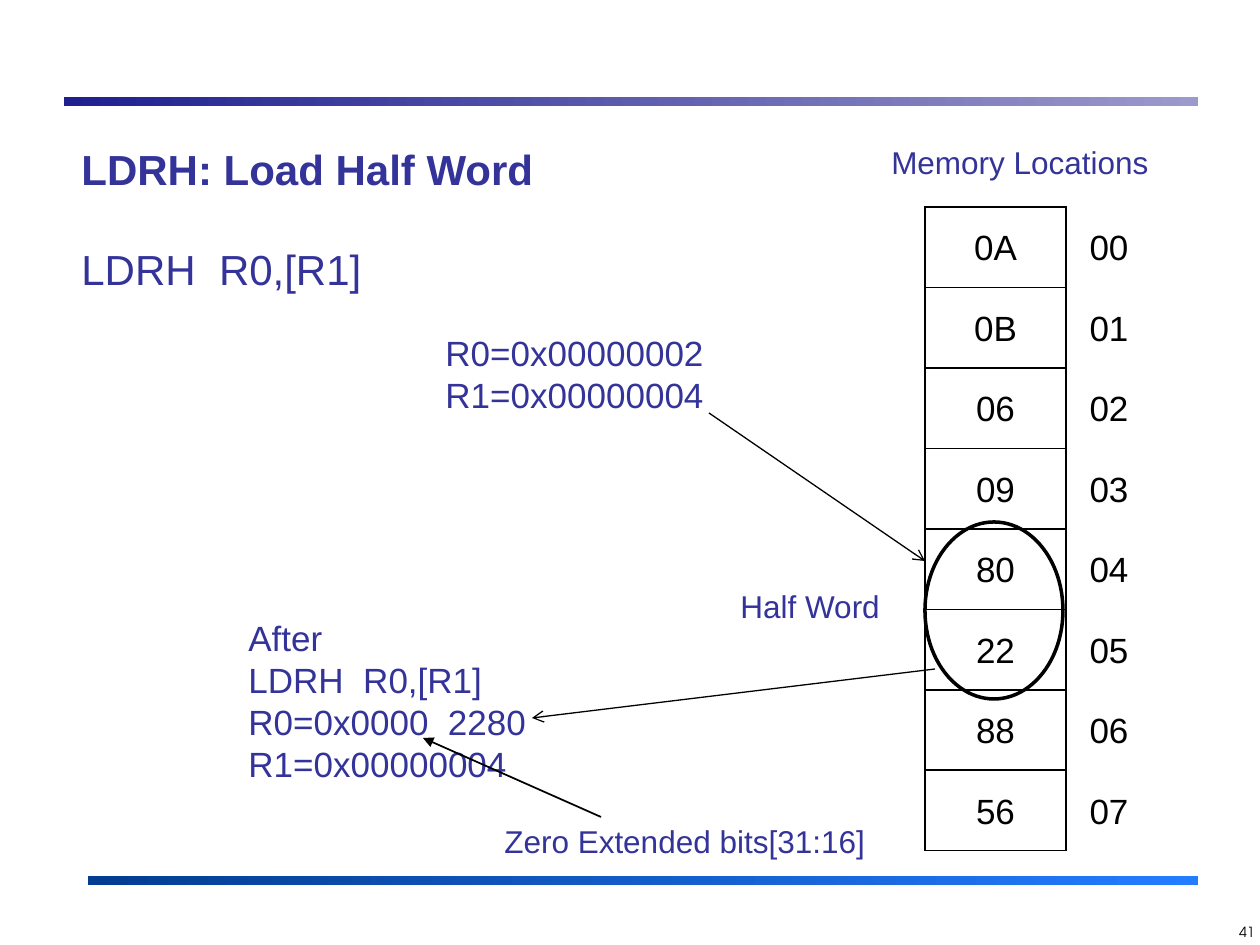
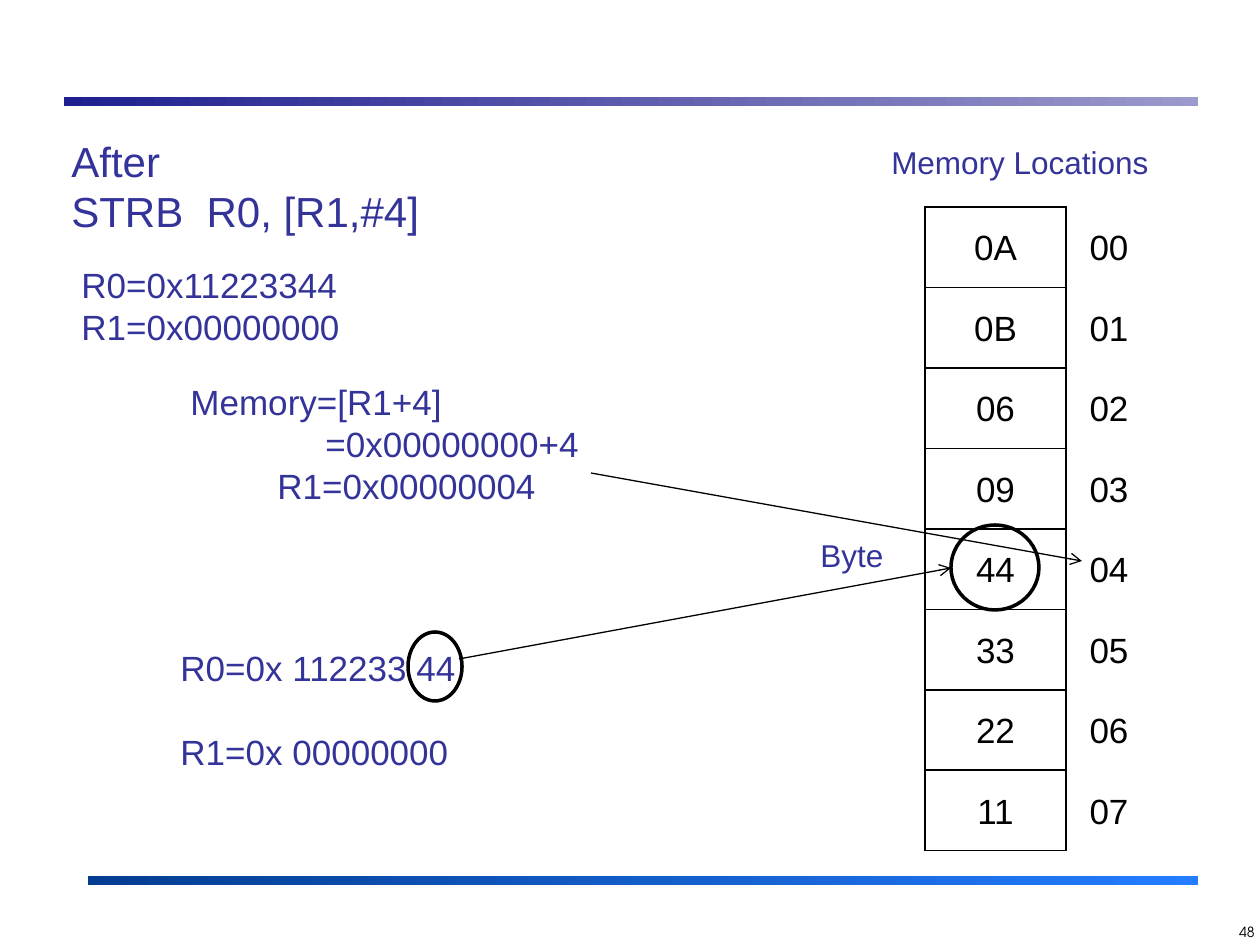
from lxml import etree
from pptx import Presentation
from pptx import util as u
from pptx.dml.color import RGBColor
from pptx.enum import shapes, text
from pptx.oxml.ns import qn

FONT, NUMBER_FONT = "Arial", "TeX Gyre Adventor"
NAVY, BLACK = "333399", "000000"
LINE_HEIGHT = 1.2

# Shared bands: left, top, width, height, first and last colour
BANDS = [
    (64, 97, 1134, 9, "1F1F8F", "9C99CC"),
    (88, 876, 1110, 9, "033D91", "247CFF"),
]
MEMORY_LABEL = (738, 137, 423, 50)
NUMBER_BOX = (1212, 917, 55, 39)
MEMORY_AT, MEMORY_COLS, MEMORY_HEIGHT = (925, 207), (141, 86), 644

# Texts: box, size, lines; a line is a string or a dict of its options.
# Ovals: box. Arrows: from, to, width, then the head at the end reached.
SLIDES = [
    {
        "number": "41",
        "memory": ["0A", "0B", "06", "09", "80", "22", "88", "56"],
        "ovals": [(925, 522, 138, 177)],
        "texts": [
            ((69, 137, 601, 165), 24, [
                {"text": "LDRH: Load Half Word", "bold": True},
                {"text": "LDRH  R0,[R1]", "skip": 1}]),
            ((433, 325, 286, 97), 20, ["R0=0x00000002", "R1=0x00000004"]),
            ((236, 610, 344, 183), 20, [
                "After", "LDRH  R0,[R1]", "R0=0x0000  2280",
                "R1=0x00000004"]),
            ((728, 581, 178, 50), 18, ["Half Word"]),
            ((492, 816, 444, 50), 18, ["Zero Extended bits[31:16]"]),
        ],
        "arrows": [
            ((709, 413), (925, 561), 0.75, "arrow"),
            ((935, 669), (532, 718), 0.75, "arrow"),
            ((601, 817), (423, 738), 1, "triangle"),
        ],
    },
    {
        "number": "48",
        "memory": ["0A", "0B", "06", "09", "44", "33", "22", "11"],
        "ovals": [(951, 525, 88, 85), (408, 632, 54, 69)],
        "texts": [
            ((59, 129, 837, 115), 24, ["After", "STRB  R0, [R1,#4]"]),
            ((69, 257, 286, 97), 20, ["R0=0x11223344", "R1=0x00000000"]),
            ((178, 374, 423, 140), 20, [
                "Memory=[R1+4]",
                {"text": "=0x00000000+4", "indent": 135},
                {"text": "R1=0x00000004", "indent": 87}]),
            ((168, 640, 571, 140), 20, [
                "R0=0x 112233 44",
                {"text": "R1=0x 00000000", "skip": 1}]),
            ((808, 530, 98, 50), 18, ["Byte"]),
        ],
        "arrows": [
            ((591, 473), (1082, 561), 0.75, "arrow"),
            ((459, 659), (951, 568), 0.75, "arrow"),
        ],
    },
]


def px(n):
    return u.Emu(round(n * 914400 / 126))


def box(values):
    return [px(v) for v in values]


def rgb(value):
    return RGBColor.from_string(value)


def write(p, words, size, color=NAVY, bold=False, font=FONT):
    p.line_spacing = u.Pt(size * LINE_HEIGHT)
    r = p.add_run()
    r.text = words
    r.font.name, r.font.size, r.font.bold = font, u.Pt(size), bold
    r.font.color.rgb = rgb(color)


def add_text(slide, at, size, lines, align=text.PP_ALIGN.LEFT, **style):
    tf = slide.shapes.add_textbox(*box(at)).text_frame
    tf.word_wrap = True
    for i, line in enumerate(lines):
        if isinstance(line, str):
            line = {"text": line}
        p = tf.add_paragraph() if i else tf.paragraphs[0]
        p.alignment = align
        if "indent" in line:
            p._p.get_or_add_pPr().set("marL", str(px(line["indent"])))
        if "skip" in line:
            p.space_before = u.Pt(line["skip"] * size * LINE_HEIGHT)
        write(p, line["text"], size, bold=line.get("bold", False), **style)


def add_band(slide, left, top, width, height, *colors):
    sp = slide.shapes.add_shape(
        shapes.MSO_SHAPE.RECTANGLE, *box((left, top, width, height)))
    sp.shadow.inherit = False
    sp.line.fill.background()
    sp.fill.gradient()
    sp.fill.gradient_angle = 0
    for stop, color in zip(sp.fill.gradient_stops, colors):
        stop.color.rgb = rgb(color)


def add_oval(slide, at):
    sp = slide.shapes.add_shape(shapes.MSO_SHAPE.OVAL, *box(at))
    sp.shadow.inherit = False
    sp.fill.background()
    sp.line.color.rgb = rgb(BLACK)
    sp.line.width = u.Pt(2)


def add_arrow(slide, start, end, width, head):
    c = slide.shapes.add_connector(
        shapes.MSO_CONNECTOR.STRAIGHT, *box(start + end))
    c.line.color.rgb = rgb(BLACK)
    c.line.width = u.Pt(width)
    etree.SubElement(c.line._get_or_add_ln(), qn("a:tailEnd"), type=head)
    etree.SubElement(c._element.spPr, qn("a:effectLst"))


def set_borders(cell, drawn):
    tc_pr = cell._tc.get_or_add_tcPr()
    for side in "LRTB":
        ln = etree.SubElement(tc_pr, qn("a:ln" + side), w=str(u.Pt(1)))
        if side in drawn:
            fill = etree.SubElement(ln, qn("a:solidFill"))
            etree.SubElement(fill, qn("a:srgbClr"), val=BLACK)
        else:
            etree.SubElement(ln, qn("a:noFill"))


def add_memory(slide, values):
    size = (sum(MEMORY_COLS), MEMORY_HEIGHT)
    table = slide.shapes.add_table(
        len(values), 2, *box(MEMORY_AT + size)).table
    table.first_row = table.horz_banding = False
    for column, width in zip(table.columns, MEMORY_COLS):
        column.width = px(width)
    for address, value in enumerate(values):
        table.rows[address].height = px(MEMORY_HEIGHT / len(values))
        # Only the value column is framed; the address stands beside it
        for col, (words, drawn) in enumerate(
                [(value, "LRTB"), (f"{address:02}", "L")]):
            cell = table.cell(address, col)
            cell.vertical_anchor = text.MSO_ANCHOR.MIDDLE
            set_borders(cell, drawn)
            cell.fill.background()
            p = cell.text_frame.paragraphs[0]
            p.alignment = text.PP_ALIGN.CENTER
            write(p, words, 20, BLACK)


def build_slide(prs, content):
    slide = prs.slides.add_slide(prs.slide_layouts[6])
    right = text.PP_ALIGN.RIGHT
    for band in BANDS:
        add_band(slide, *band)
    add_text(slide, NUMBER_BOX, 8, [content["number"]], right,
             color=BLACK, font=NUMBER_FONT)
    add_memory(slide, content["memory"])
    add_text(slide, MEMORY_LABEL, 18, ["Memory Locations"], right)
    for item in content["texts"]:
        add_text(slide, *item)
    for oval in content["ovals"]:
        add_oval(slide, oval)
    for arrow in content["arrows"]:
        add_arrow(slide, *arrow)


def main():
    prs = Presentation()
    prs.slide_width, prs.slide_height = px(1260), px(945)
    for content in SLIDES:
        build_slide(prs, content)
    prs.save("out.pptx")


if __name__ == "__main__":
    main()
